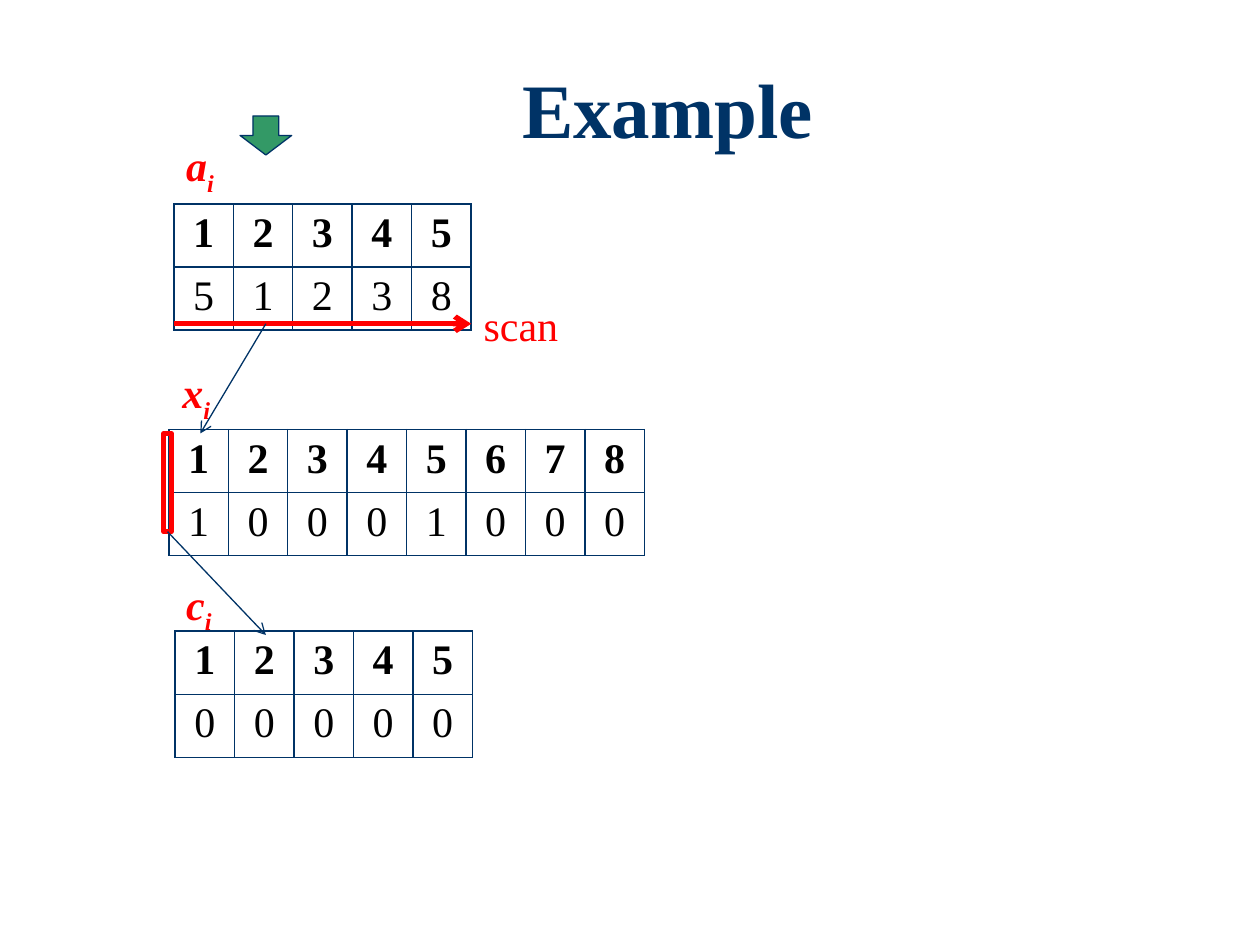
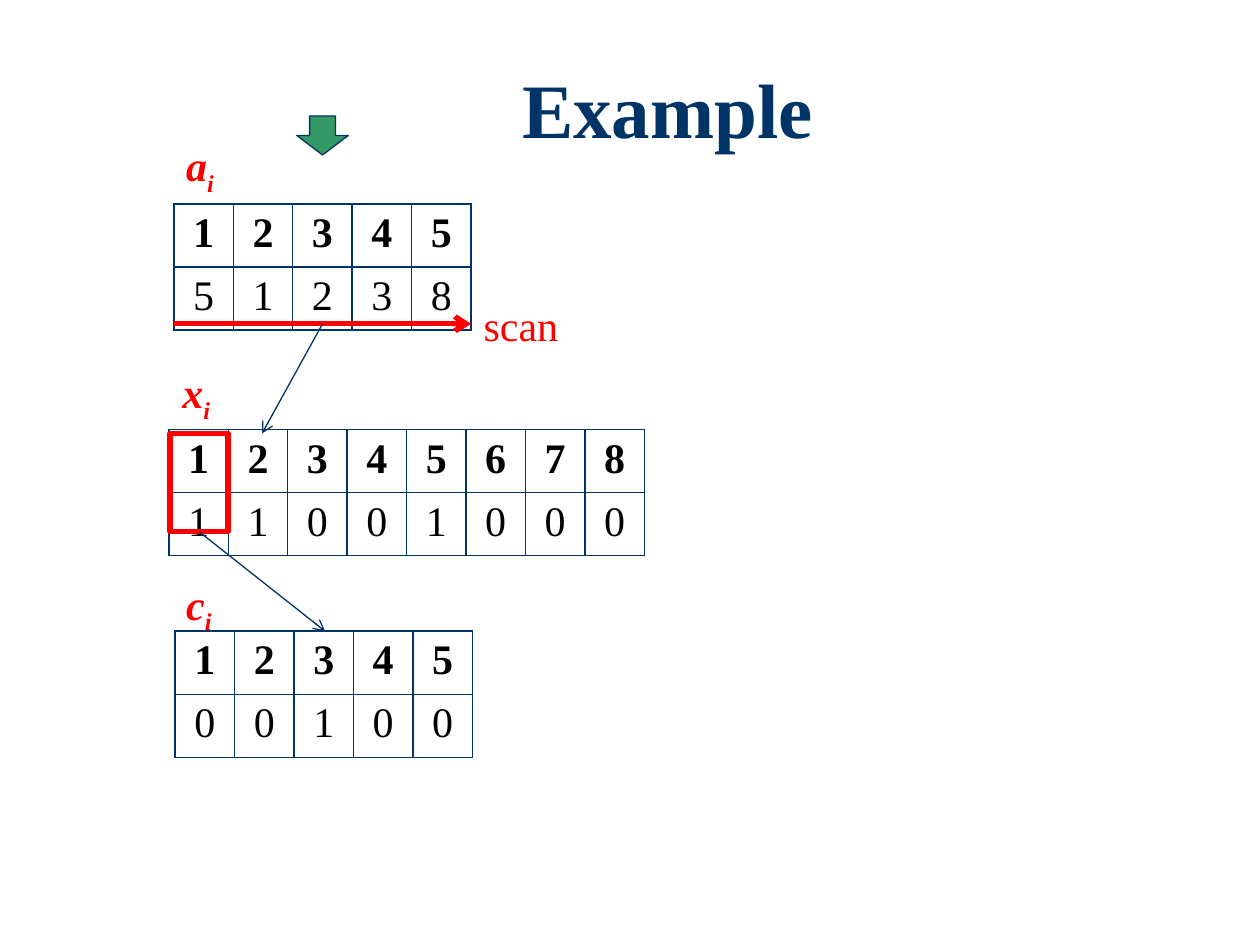
from dataclasses import dataclass

from pptx import Presentation
from pptx import util as u
from pptx.dml.color import RGBColor
from pptx.enum import shapes, text
from pptx.oxml import ns, xmlchemy

COLUMNS, ROWS = 100, 75
UNIT = u.Inches(0.1)
CELL_WIDTH = 4.72


@dataclass(frozen=True)
class Theme:
    font: str = "Times New Roman"
    navy: str = "003366"
    red: str = "FF0000"
    green: str = "339966"
    black: str = "000000"
    white: str = "FFFFFF"
    title_size: int = 44
    body_size: int = 24
    thick: float = 3
    border: float = 1
    thin: float = 0.75


@dataclass(frozen=True)
class Step:
    """State of the three arrays, and of the marks, while one element is scanned."""
    scanned_x: float
    lookup_x: float
    flags: str
    counts: str
    prefix_left: float
    prefix_width: float
    result_start_x: float
    result_end: tuple


STEPS = (
    Step(21.1, 15.9, "10001000", "00000", 13, 0.6, 13.3, (21.1, 50.4)),
    Step(25.6, 20.8, "11001000", "00100", 13.5, 4.6, 15.8, (25.8, 50.1)),
)


def child(parent, tag, **attributes):
    element = xmlchemy.OxmlElement(tag)
    for name, value in attributes.items():
        element.set(name, str(value))
    parent.append(element)
    return element


def grid(*lengths):
    return [round(length * UNIT) for length in lengths]


class Board:
    def __init__(self, theme):
        self.theme = theme
        self.deck = Presentation()
        self.deck.slide_width, self.deck.slide_height = grid(COLUMNS, ROWS)
        self.page = None

    def new_page(self):
        self.page = self.deck.slides.add_slide(self.deck.slide_layouts[6])
        fill = self.page.background.fill
        fill.solid()
        fill.fore_color.rgb = RGBColor.from_string(self.theme.white)

    def span(self, para, words, size, color, bold=False, italic=False):
        span = para.add_run()
        span.text = words
        font = span.font
        font.name, font.size = self.theme.font, u.Pt(size)
        font.bold, font.italic = bold, italic
        font.color.rgb = RGBColor.from_string(color)
        return span

    def text_box(self, left, top, width, height, wrap=False):
        box = self.page.shapes.add_textbox(*grid(left, top, width, height))
        box.text_frame.word_wrap = wrap
        return box

    def title(self, words):
        frame = self.text_box(13, 4.4, 80, 9.2, wrap=True).text_frame
        frame.vertical_anchor = text.MSO_ANCHOR.MIDDLE
        para = frame.paragraphs[0]
        para.alignment = text.PP_ALIGN.CENTER
        para.line_spacing = 0.9
        self.span(para, words, self.theme.title_size, self.theme.navy, bold=True)

    def label(self, left, top, words, subscript="", width=4.3):
        """Red text; with a subscript it is set as a variable name."""
        frame = self.text_box(left, top, width, 5).text_frame
        frame.auto_size = text.MSO_AUTO_SIZE.SHAPE_TO_FIT_TEXT
        para = frame.paragraphs[0]
        style = (self.theme.body_size, self.theme.red, bool(subscript), bool(subscript))
        self.span(para, words, *style)
        if subscript:
            index = self.span(para, subscript, *style)
            index.font._element.set("baseline", "-25000")

    def array(self, left, top, values, row_height):
        """Table with the positions 1..n above the values."""
        count = len(values)
        frame = self.page.shapes.add_table(
            2, count, *grid(left, top, CELL_WIDTH * count, row_height * 2))
        table = frame.table
        table.first_row = table.horz_banding = False
        for column in table.columns:
            column.width = grid(CELL_WIDTH)[0]
        for row in range(2):
            table.rows[row].height = grid(row_height)[0]
            for position, value in enumerate(values):
                words = value if row else str(position + 1)
                self.cell(table.cell(row, position), words, bold=row == 0)

    def cell(self, cell, words, bold):
        para = cell.text_frame.paragraphs[0]
        para.alignment = text.PP_ALIGN.CENTER
        self.span(para, words, self.theme.body_size, self.theme.black, bold)
        properties = cell._tc.get_or_add_tcPr()
        for side in ("a:lnL", "a:lnR", "a:lnT", "a:lnB"):
            edge = child(properties, side, w=u.Pt(self.theme.border))
            child(child(edge, "a:solidFill"), "a:srgbClr", val=self.theme.navy)
        cell.fill.solid()
        cell.fill.fore_color.rgb = RGBColor.from_string(self.theme.white)

    def outline(self, item, color, width):
        item.line.color.rgb = RGBColor.from_string(color)
        item.line.width = u.Pt(width)

    def shape(self, kind, left, top, width, height, color, line_width, fill=None):
        shape = self.page.shapes.add_shape(kind, *grid(left, top, width, height))
        shape.shadow.inherit = False
        self.outline(shape, color, line_width)
        if fill:
            shape.fill.solid()
            shape.fill.fore_color.rgb = RGBColor.from_string(fill)
        else:
            shape.fill.background()

    def arrow(self, start, end, color, width):
        line = self.page.shapes.add_connector(
            shapes.MSO_CONNECTOR.STRAIGHT, *grid(*start, *end))
        self.outline(line, color, width)
        properties = line._element.spPr
        child(properties.find(ns.qn("a:ln")), "a:tailEnd", type="arrow")
        child(properties, "a:effectLst")


def draw_step(board, step):
    theme = board.theme
    scan_y, flags_y = 25.7, 34.4
    flags_bottom = 42.2
    board.new_page()
    board.title("Example")

    arrays = (
        ("a", "51238", (13.8, 16.2), (13.8, 10.6), 4.7),
        ("x", step.flags, (13.4, 34.1), (13.5, 28.6), 5),
        ("c", step.counts, (13.9, 50.1), (13.8, 45.4), 5),
    )
    for name, values, table_at, label_at, row_height in arrays:
        board.array(*table_at, values, row_height)
        board.label(*label_at, name, "i")

    board.arrow((13.8, scan_y), (37.4, scan_y), theme.red, theme.thick)
    board.label(37.4, 23.3, "scan", width=8)
    pointer_width = 4.1
    board.shape(shapes.MSO_SHAPE.DOWN_ARROW, step.scanned_x - pointer_width / 2, 9.2,
                pointer_width, 3.1, theme.navy, theme.thin, theme.green)
    board.arrow((step.scanned_x, scan_y), (step.lookup_x, flags_y),
                theme.navy, theme.thin)
    board.shape(shapes.MSO_SHAPE.RECTANGLE, step.prefix_left, flags_y,
                step.prefix_width, flags_bottom - flags_y, theme.red, theme.thick)
    board.arrow((step.result_start_x, flags_bottom), step.result_end,
                theme.navy, theme.thin)


def main():
    board = Board(Theme())
    for step in STEPS:
        draw_step(board, step)
    board.deck.save("out.pptx")


if __name__ == "__main__":
    main()
